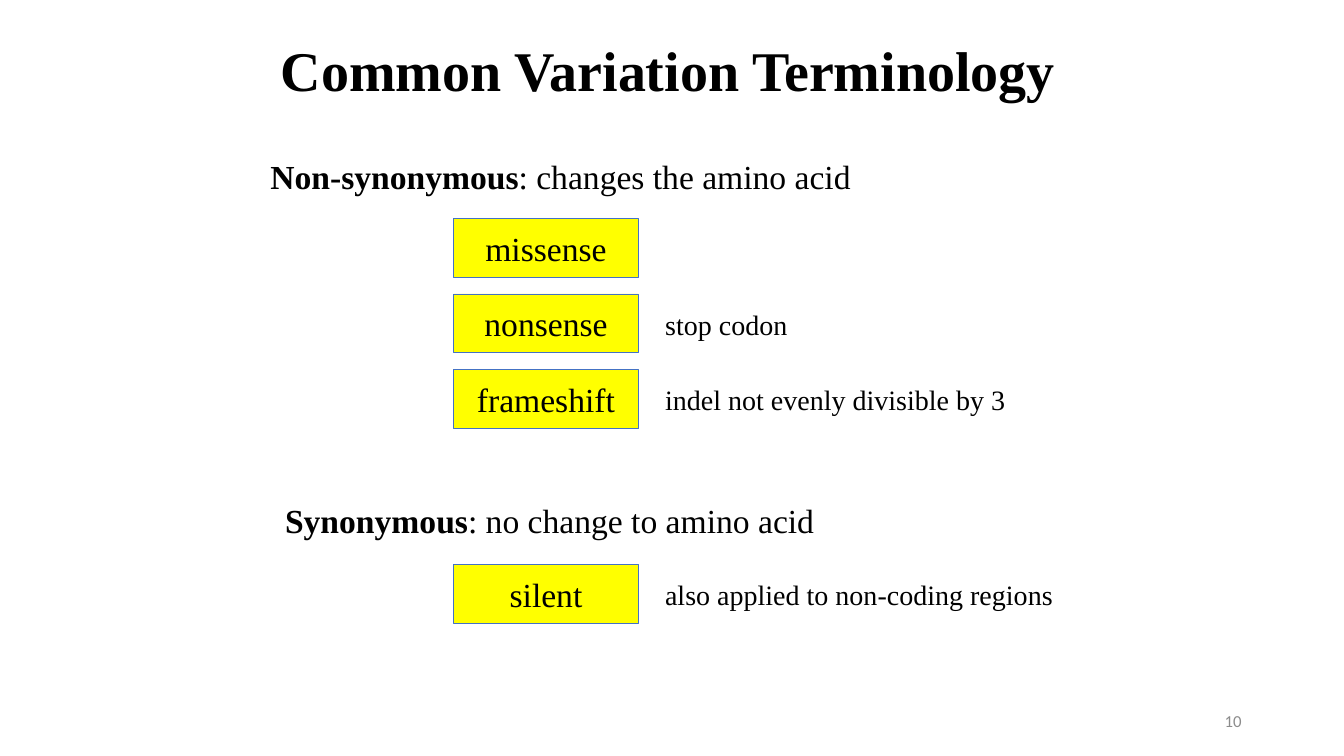
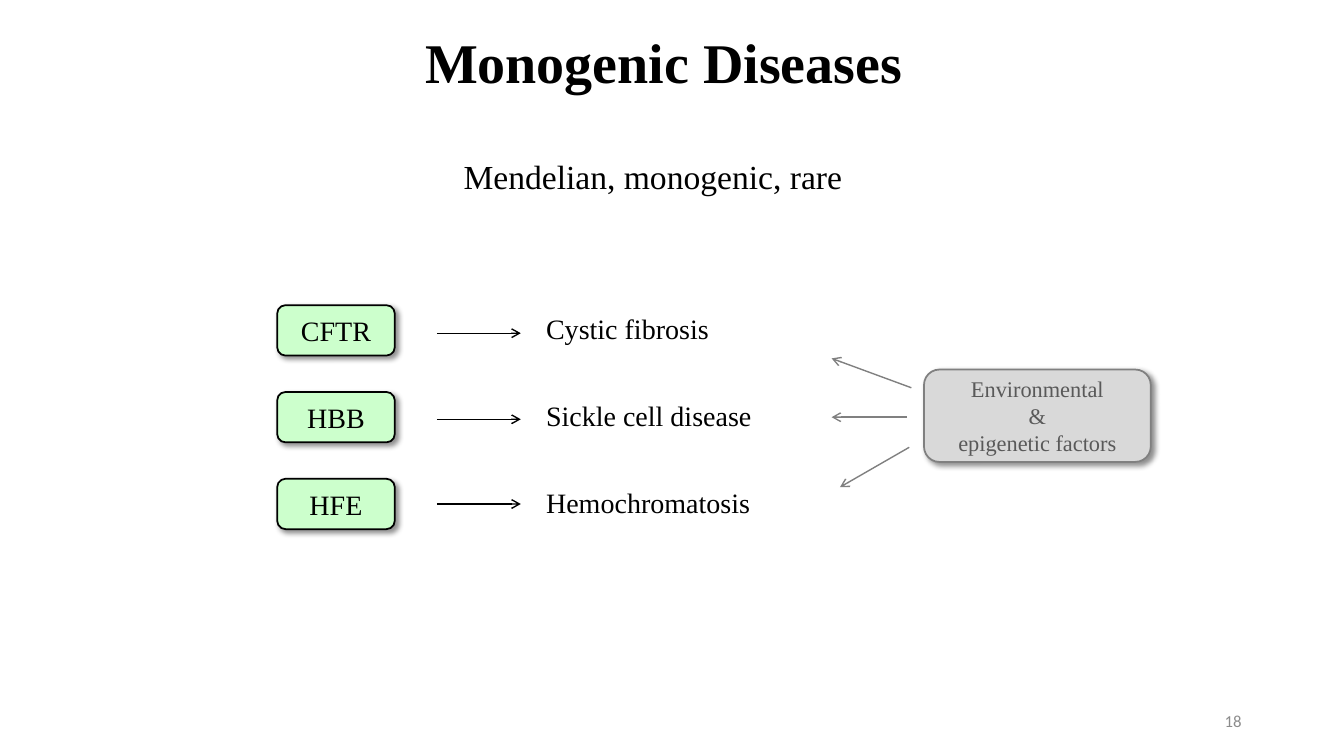
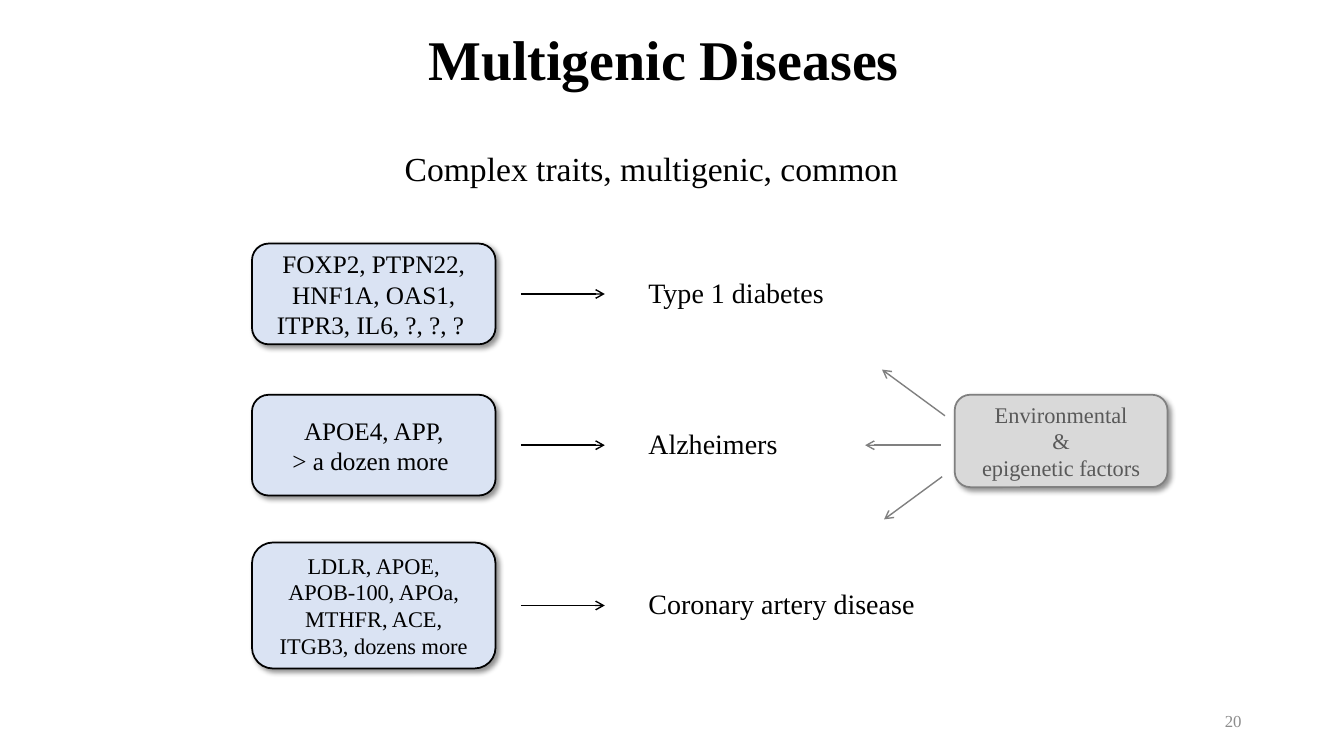
from lxml.etree import SubElement
from pptx import Presentation
from pptx.dml.color import RGBColor
from pptx.enum.shapes import MSO_CONNECTOR, MSO_SHAPE
from pptx.enum.text import MSO_ANCHOR, MSO_AUTO_SIZE, PP_ALIGN
from pptx.oxml.ns import qn
from pptx.util import Pt

COLOURS = {
    "text": "000000",
    "number": "8C8C8C",
    "term": "FFFF00",
    "term line": "4472C4",
    "single gene": "CCFFCC",
    "many genes": "DAE3F3",
    "factors": "D9D9D9",
    "factors line": "808080",
    "factors text": "595959",
}
SERIF = "Times New Roman"
TITLE_ONLY = 5
NOTE_HEIGHT = 32


def colour(name):
    return RGBColor.from_string(COLOURS[name])


def add_run(para, text, size, ink="text", bold=False, face=SERIF):
    span = para.add_run()
    span.text = text
    span.font.size = Pt(size)
    span.font.name = face
    span.font.bold = bold
    span.font.color.rgb = colour(ink)


def add_label(shapes, box, spans, size):
    """Add one line of text, given as (text, bold) pairs."""
    label = shapes.add_textbox(*map(Pt, box))
    frame = label.text_frame
    frame.word_wrap = True
    frame.auto_size = MSO_AUTO_SIZE.SHAPE_TO_FIT_TEXT
    for text, bold in spans:
        add_run(frame.paragraphs[0], text, size, bold=bold)


def add_box(shapes, preset, box, fill, line, width, lines, size, ink="text"):
    shape = shapes.add_shape(preset, *map(Pt, box))
    shape.shadow.inherit = False
    shape.fill.solid()
    shape.fill.fore_color.rgb = colour(fill)
    shape.line.color.rgb = colour(line)
    shape.line.width = Pt(width)
    frame = shape.text_frame
    frame.word_wrap = True
    frame.vertical_anchor = MSO_ANCHOR.MIDDLE
    for index, text in enumerate(lines):
        para = frame.add_paragraph() if index else frame.paragraphs[0]
        para.alignment = PP_ALIGN.CENTER
        add_run(para, text, size, ink)
    return shape


def add_raised_box(shapes, box, fill, line, lines, size, ink="text"):
    """Add a rounded box with a soft shadow to the lower right."""
    shape = add_box(shapes, MSO_SHAPE.ROUNDED_RECTANGLE, box, fill, line, 1.25, lines, size, ink)
    effects = shape.element.spPr.find(qn("a:effectLst"))
    shadow = SubElement(effects, qn("a:outerShdw"), blurRad=str(Pt(4)), dist=str(Pt(3)),
                        dir="2700000", algn="tl", rotWithShape="0")
    shade = SubElement(shadow, qn("a:srgbClr"), val=COLOURS["text"])
    SubElement(shade, qn("a:alpha"), val="43000")


def add_arrow(shapes, x1, y1, x2, y2, ink="text"):
    arrow = shapes.add_connector(MSO_CONNECTOR.STRAIGHT, *map(Pt, (x1, y1, x2, y2)))
    arrow.line.color.rgb = colour(ink)
    arrow.line.width = Pt(1)
    SubElement(arrow.line._get_or_add_ln(), qn("a:tailEnd"), type="arrow")
    SubElement(arrow.element.spPr, qn("a:effectLst"))


def add_page(deck, title, title_box, number, number_face="Calibri"):
    page = deck.slides.add_slide(deck.slide_layouts[TITLE_ONLY])
    heading = page.shapes.title
    heading.left, heading.top, heading.width, heading.height = map(Pt, title_box)
    frame = heading.text_frame
    frame.auto_size = MSO_AUTO_SIZE.NONE
    frame.vertical_anchor = MSO_ANCHOR.BOTTOM
    para = frame.paragraphs[0]
    para.alignment = PP_ALIGN.CENTER
    para.line_spacing = 0.9
    add_run(para, title, 40, bold=True)

    footer = page.shapes.add_textbox(Pt(678), Pt(500.4), Pt(216), Pt(28.8)).text_frame
    footer.word_wrap = True
    footer.vertical_anchor = MSO_ANCHOR.MIDDLE
    footer.paragraphs[0].alignment = PP_ALIGN.RIGHT
    add_run(footer.paragraphs[0], number, 12, "number", face=number_face)
    return page


def add_terms(page, left, top, terms):
    """Stack term boxes, each with an optional note on its right."""
    width, height, step = 132, 42, 54
    shapes = page.shapes.add_group_shape().shapes
    for index, (term, note, note_width) in enumerate(terms):
        y = top + index * step
        add_box(shapes, MSO_SHAPE.RECTANGLE, (left, y, width, height),
                "term", "term line", 0.5, [term], 24)
        if note:
            add_label(shapes, (left + width + 12, y + 6, note_width, NOTE_HEIGHT),
                      [(note, False)], 20)


def add_gene_rows(page, left, width, fill, arrow_left, disease_left, rows):
    """Draw gene box, arrow and disease for each row, around the row's middle."""
    for middle, height, genes, size, arrow_drop, disease, disease_width in rows:
        add_raised_box(page.shapes, (left, middle - height / 2, width, height),
                       fill, "text", genes, size)
        arrow_y = middle + arrow_drop
        add_arrow(page.shapes, arrow_left, arrow_y, arrow_left + 60, arrow_y)
        add_label(page.shapes, (disease_left, middle - 17, disease_width, NOTE_HEIGHT),
                  [(disease, False)], 20)


def add_factors(page, box, arrows):
    """Draw the factors box with arrows measured from its top left corner."""
    left, top = box[:2]
    shapes = page.shapes.add_group_shape().shapes
    add_raised_box(shapes, box, "factors", "factors line",
                   ["Environmental", "&", "epigenetic factors"], 16, "factors text")
    for x1, y1, x2, y2 in arrows:
        add_arrow(shapes, left + x1, top + y1, left + x2, top + y2, "factors line")


def build_terminology(deck):
    page = add_page(deck, "Common Variation Terminology", (132, 12, 690, 66), "10")
    add_label(page.shapes, (186, 108, 492, 36),
              [("Non-synonymous", True), (": changes the amino acid", False)], 24)
    add_terms(page, 324, 156, [
        ("missense", None, 0),
        ("nonsense", "stop codon", 120),
        ("frameshift", "indel not evenly divisible by 3", 276),
    ])
    add_label(page.shapes, (196.5, 353.5, 492, 36),
              [("Synonymous", True), (": no change to amino acid", False)], 24)
    add_terms(page, 324, 403, [("silent", "also applied to non-coding regions", 324)])


def build_monogenic(deck):
    page = add_page(deck, "Monogenic Diseases", (126, 6, 696, 66), "18")
    add_label(page.shapes, (324, 108, 312, 36), [("Mendelian, monogenic, rare", False)], 24)
    add_gene_rows(page, 198, 84, "single gene", 312, 383, [
        (236, 36, ["CFTR"], 20, 2, "Cystic fibrosis", 138),
        (298, 36, ["HBB"], 20, 1.5, "Sickle cell disease", 186),
        (360, 36, ["HFE"], 20, 0, "Hemochromatosis", 186),
    ])
    add_factors(page, (660, 264, 162, 66), [
        (-9, 13, -66, -8), (-12, 34, -66, 34), (-10.5, 55.5, -60, 84),
    ])


def build_multigenic(deck):
    page = add_page(deck, "Multigenic Diseases", (126, 4, 696, 66), "20", SERIF)
    add_label(page.shapes, (282, 102, 396, 36),
              [("Complex traits, multigenic, common", False)], 24)
    add_gene_rows(page, 180, 174, "many genes", 372, 456, [
        (210, 72, ["FOXP2, PTPN22, HNF1A, OAS1, ITPR3, IL6, ?, ?, ? "], 18, 0,
         "Type 1 diabetes", 156),
        (318, 72, ["APOE4, APP,", "> a dozen more "], 18, 0, "Alzheimers", 114),
        (432.5, 90, ["LDLR, APOE, APOB-100, APOa, MTHFR, ACE, ITGB3, dozens more"], 16, 0,
         "Coronary artery disease", 228),
    ])
    add_factors(page, (682, 282, 152, 66), [
        (-7, 15, -52, -18), (-10, 36, -64, 36), (-9, 58.5, -50.5, 89),
    ])


def main():
    deck = Presentation()
    deck.slide_width, deck.slide_height = Pt(960), Pt(540)
    build_terminology(deck)
    build_monogenic(deck)
    build_multigenic(deck)
    deck.save("out.pptx")


if __name__ == "__main__":
    main()
